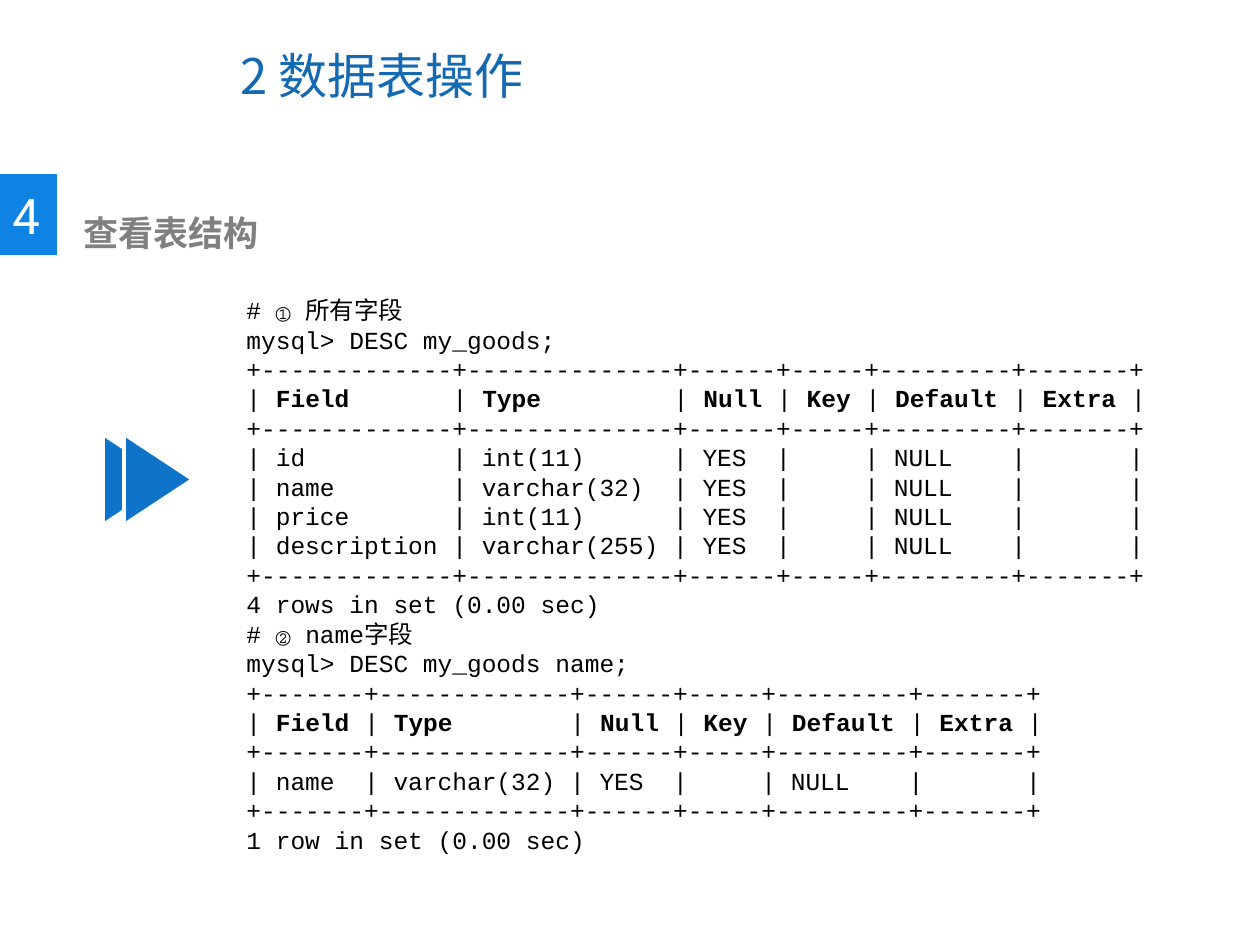
from pptx import Presentation
from pptx.dml.color import RGBColor
from pptx.enum.shapes import MSO_SHAPE
from pptx.enum.text import MSO_ANCHOR
from pptx.oxml.ns import qn
from pptx.util import Pt
from lxml import etree

RECT, TRI = MSO_SHAPE.RECTANGLE, MSO_SHAPE.ISOSCELES_TRIANGLE
TOP, MID = MSO_ANCHOR.TOP, MSO_ANCHOR.MIDDLE

# Content
TITLE = "2 数据表操作"
NUMBER = "4"
HEAD = "查看表结构"
COLS = ("Field", "Type", "Null", "Key", "Default", "Extra")
QUERIES = [
    {"note": "# ① 所有字段",
     "code": "mysql> DESC my_goods;",
     "wide": (11, 12, 4, 3, 7, 5),
     "rows": [("id", "int(11)", "YES", "", "NULL", ""),
              ("name", "varchar(32)", "YES", "", "NULL", ""),
              ("price", "int(11)", "YES", "", "NULL", ""),
              ("description", "varchar(255)", "YES", "", "NULL", "")],
     "end": "4 rows in set (0.00 sec)"},
    {"note": "# ② name字段",
     "code": "mysql> DESC my_goods name;",
     "wide": (5, 11, 4, 3, 7, 5),
     "rows": [("name", "varchar(32)", "YES", "", "NULL", "")],
     "end": "1 row in set (0.00 sec)"},
]

# Theme
THEME = {
    "title": ("Noto Sans CJK SC", 28, "1369B2", False),
    "number": ("Roboto", 28, "FFFFFF", False),
    "head": ("Noto Sans CJK SC", 20, "808080", True),
    "code": ("Courier New", 14, "000000", False),
    "badge": "0F83E3",
    "arrow": "0D74C9",
    "edge": "FFFFFF",
}
LEAD = 16.8  # code line pitch in points
SCALE = 914400 / 126


def px(n):
    return round(n * SCALE)


def rgb(name):
    return RGBColor.from_string(THEME[name])


def style(run, name, bold=None):
    face, size, color, heavy = THEME[name]
    font = run.font
    font.name, font.size = face, Pt(size)
    font.bold = heavy if bold is None else bold
    font.color.rgb = RGBColor.from_string(color)
    east = etree.SubElement(run._r.get_or_add_rPr(), qn("a:ea"))
    east.set("typeface", face)


def box(slide, area, wrap=True, anchor=TOP):
    frame = slide.shapes.add_textbox(*map(px, area)).text_frame
    frame.word_wrap = wrap
    frame.vertical_anchor = anchor
    return frame


def label(slide, area, text, name, wrap=True, anchor=TOP):
    frame = box(slide, area, wrap, anchor)
    frame.text = text
    style(frame.paragraphs[0].runs[0], name)


def shape(slide, kind, area, fill):
    item = slide.shapes.add_shape(kind, *map(px, area))
    item.shadow.inherit = False
    item.fill.solid()
    item.fill.fore_color.rgb = rgb(fill)
    item.line.fill.background()
    return item


def row(cells, wide, bold=False):
    """One grid row as (text, bold) runs."""
    if not bold:
        body = " | ".join(c.ljust(w) for c, w in zip(cells, wide))
        return [(f"| {body} |", False)]
    runs = [("| ", False)]
    for i, (cell, w) in enumerate(zip(cells, wide)):
        bar = " |" if i == len(cells) - 1 else " | "
        runs += [(cell, True), (" " * (w - len(cell)) + bar, False)]
    return runs


def lines(query):
    wide = query["wide"]
    rule = [("+" + "+".join("-" * (w + 2) for w in wide) + "+", False)]
    return [[(query["note"], False)], [(query["code"], False)],
            rule, row(COLS, wide, True), rule,
            *(row(r, wide) for r in query["rows"]),
            rule, [(query["end"], False)]]


def main():
    deck = Presentation()
    deck.slide_width, deck.slide_height = px(1260), px(945)
    slide = deck.slides.add_slide(deck.slide_layouts[6])

    # Title, number badge and heading
    label(slide, (228, 21, 650, 107), TITLE, "title", anchor=MID)
    shape(slide, RECT, (0, 174, 57, 81), "badge")
    label(slide, (0, 179, 58, 72), NUMBER, "number", wrap=False)
    label(slide, (71, 205, 648, 55), HEAD, "head")

    # Console listing
    frame = box(slide, (202, 289, 961, 577))
    text = [line for query in QUERIES for line in lines(query)]
    for i, line in enumerate(text):
        para = frame.add_paragraph() if i else frame.paragraphs[0]
        para.line_spacing = Pt(LEAD)
        para._p.get_or_add_pPr().set("indent", str(px(32)))
        for part, bold in line:
            run = para.add_run()
            run.text = part
            style(run, "code", bold)

    # Double arrow
    for left in (92, 113):
        tri = shape(slide, TRI, (left, 445, 91, 69), "arrow")
        tri.rotation = 90
        tri.line.color.rgb = rgb("edge")
        tri.line.width = Pt(2.25)

    deck.save("out.pptx")


if __name__ == "__main__":
    main()
